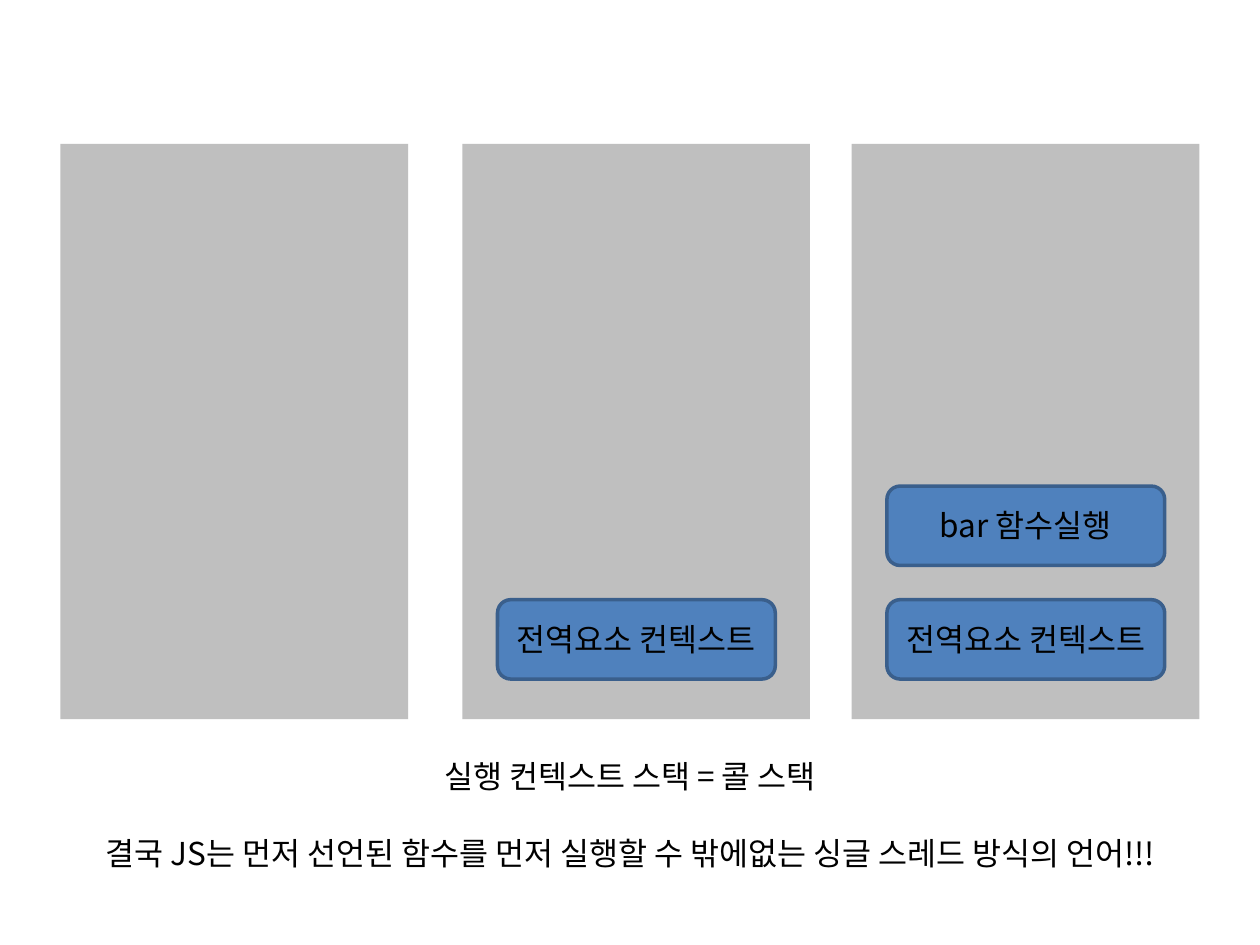
from lxml.etree import SubElement
from pptx import Presentation
from pptx.dml.color import RGBColor
from pptx.enum.shapes import MSO_SHAPE
from pptx.enum.text import MSO_AUTO_SIZE, PP_ALIGN
from pptx.oxml.ns import qn
from pptx.util import Cm, Pt

FONT = "Noto Sans CJK KR"


def add_panel(kind, left, top, width, height, fill, line=None):
    panel = page.shapes.add_shape(kind, Cm(left), Cm(top), Cm(width), Cm(height))
    panel.shadow.inherit = False
    panel.fill.solid()
    panel.fill.fore_color.rgb = RGBColor.from_string(fill)
    if line:
        panel.line.color.rgb = RGBColor.from_string(line)
        panel.line.width = Pt(2)
    else:
        panel.line.fill.background()


def add_label(text, left, top, width):
    box = page.shapes.add_textbox(Cm(left), Cm(top), Cm(width), Cm(1.03))
    frame = box.text_frame
    frame.word_wrap = True
    frame.auto_size = MSO_AUTO_SIZE.SHAPE_TO_FIT_TEXT
    para = frame.paragraphs[0]
    para.alignment = PP_ALIGN.CENTER
    span = para.add_run()
    span.text = text
    span.font.size = Pt(18)
    span.font.name = FONT
    span.font.color.rgb = RGBColor.from_string("000000")
    SubElement(span.font._element, qn("a:ea"), typeface=FONT)


deck = Presentation()
deck.slide_width = Cm(25.4)
deck.slide_height = Cm(19.05)
page = deck.slides.add_slide(deck.slide_layouts[6])

global_context = "전역요소 컨텍스트"
stacks = [
    (1.22, []),
    (9.32, [global_context]),
    (17.17, [global_context, "bar 함수실행"]),
]
for stack_left, contexts in stacks:
    add_panel(MSO_SHAPE.RECTANGLE, stack_left, 2.9, 7.01, 11.6, "BFBFBF")
    for level, context in enumerate(contexts):
        top = 12.09 - level * 2.29
        add_panel(MSO_SHAPE.ROUNDED_RECTANGLE, stack_left + 0.71, top, 5.6, 1.6,
                  "4F81BD", "3A5F8C")
        add_label(context, stack_left + 0.15, top + 0.28, 6.71)

add_label("실행 컨텍스트 스택 = 콜 스택", 7.1, 15.14, 11.2)
add_label("결국 JS는 먼저 선언된 함수를 먼저 실행할 수 밖에없는 싱글 스레드 방식의 언어!!!",
          0.16, 16.69, 25.08)

deck.save("out.pptx")
